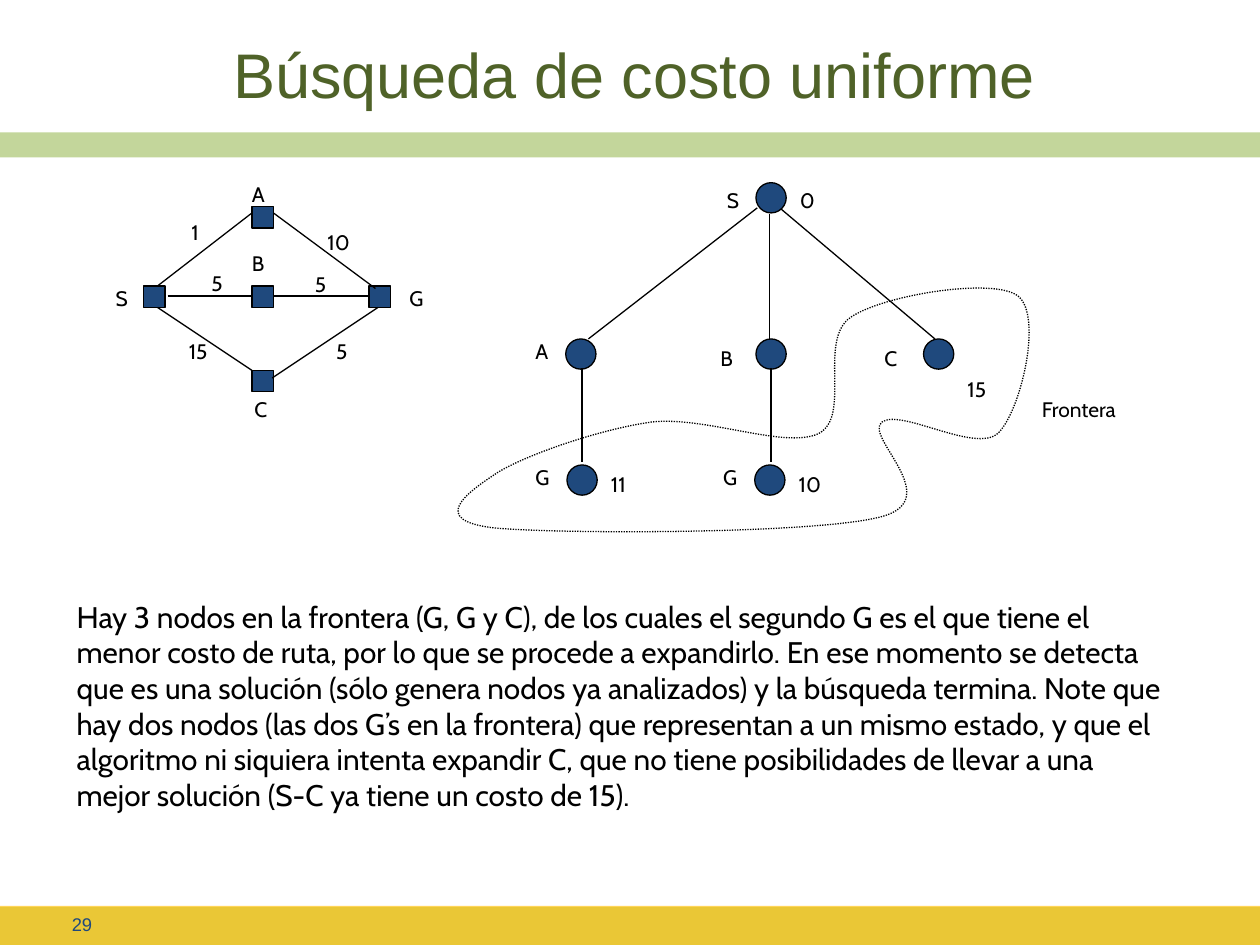
from lxml import etree
from pptx import Presentation
from pptx.dml.color import RGBColor
from pptx.enum.dml import MSO_LINE
from pptx.enum.shapes import MSO_CONNECTOR, MSO_SHAPE
from pptx.enum.text import MSO_ANCHOR, MSO_AUTO_SIZE, PP_ALIGN
from pptx.oxml.ns import qn
from pptx.util import Inches, Pt

RECT, OVAL = MSO_SHAPE.RECTANGLE, MSO_SHAPE.OVAL
STRAIGHT = MSO_CONNECTOR.STRAIGHT
LEFT, CENTER, RIGHT = PP_ALIGN.LEFT, PP_ALIGN.CENTER, PP_ALIGN.RIGHT
TOP, MIDDLE = MSO_ANCHOR.TOP, MSO_ANCHOR.MIDDLE
GROW, FIXED = MSO_AUTO_SIZE.SHAPE_TO_FIT_TEXT, MSO_AUTO_SIZE.NONE
DOTTED = MSO_LINE.ROUND_DOT


def color(value):
    return RGBColor.from_string(value)


class Canvas:
    font = "Cabin"
    ink = "000000"
    node_fill = "1F497D"
    stroke = 0.75

    def __init__(self, slide):
        self.shapes = slide.shapes

    def outline(self, line):
        line.color.rgb = color(self.ink)
        line.width = Pt(self.stroke)

    def band(self, y, h, fill, alpha=None):
        s = self.shapes.add_shape(RECT, 0, Inches(y), Inches(10), Inches(h))
        s.shadow.inherit = False
        s.fill.solid()
        s.fill.fore_color.rgb = color(fill)
        s.line.fill.background()
        if alpha:
            srgb = s._element.spPr.find(".//" + qn("a:srgbClr"))
            etree.SubElement(srgb, qn("a:alpha")).set("val", str(alpha * 1000))

    def node(self, kind, x, y, size):
        s = self.shapes.add_shape(kind, Inches(x), Inches(y), Inches(size), Inches(size))
        s.shadow.inherit = False
        s.fill.solid()
        s.fill.fore_color.rgb = color(self.node_fill)
        self.outline(s.line)

    def edge(self, x1, y1, x2, y2):
        s = self.shapes.add_connector(STRAIGHT, Inches(x1), Inches(y1), Inches(x2), Inches(y2))
        self.outline(s.line)
        etree.SubElement(s._element.spPr, qn("a:effectLst"))

    def text(self, words, x, y, w, h, size, font=None, ink=None, align=LEFT,
             anchor=TOP, wrap=True, fit=GROW):
        s = self.shapes.add_textbox(Inches(x), Inches(y), Inches(w), Inches(h))
        tf = s.text_frame
        tf.word_wrap = wrap
        tf.auto_size = fit
        tf.vertical_anchor = anchor
        p = tf.paragraphs[0]
        p.text = words
        p.alignment = align
        p.font.size = Pt(size)
        p.font.name = font or self.font
        p.font.color.rgb = color(ink or self.ink)

    def label(self, words, x, y):
        w = {1: 0.3, 2: 0.38}.get(len(words), 0.82)
        self.text(words, x, y, w, 0.3, 12, wrap=False)

    def loop(self, start, curves):
        builder = self.shapes.build_freeform(Inches(start[0]), Inches(start[1]), scale=1.0)
        points = [(Inches(x), Inches(y)) for curve in curves for x, y in curve]
        builder.add_line_segments(points, close=True)
        s = builder.convert_to_shape()
        segments = list(s._element.spPr.iter(qn("a:lnTo")))
        for i in range(0, len(segments), 3):
            curve = etree.Element(qn("a:cubicBezTo"))
            segments[i].addprevious(curve)
            for segment in segments[i:i + 3]:
                curve.append(segment[0])
                segment.getparent().remove(segment)
        s.shadow.inherit = False
        s.fill.background()
        self.outline(s.line)
        s.line.dash_style = DOTTED


prs = Presentation()
prs.slide_width, prs.slide_height = Inches(10), Inches(7.5)
c = Canvas(prs.slides.add_slide(prs.slide_layouts[6]))

c.band(1.05, 0.2, "C3D69B")
c.band(7.2, 0.3, "C3D69B")
c.band(7.19, 0.31, "FFC000", alpha=65)
c.text("29", 0.34, 7.22, 0.49, 0.23, 10.5, "Arial", "1F497D", RIGHT, MIDDLE, fit=FIXED)
c.text("Búsqueda de costo uniforme", 0.35, 0.23, 9.37, 0.71, 36, "Arial", "4F6228",
       CENTER, MIDDLE)

GRAPH_NODES = [(1.14, 2.27), (2, 2.27), (2.93, 2.27), (2, 1.64), (2, 2.94)]
GRAPH_EDGES = [(1.33, 2.35, 2, 2.35), (2.17, 2.35, 2.92, 2.35), (1.25, 2.44, 2, 2.94),
               (2.17, 1.69, 2.98, 2.29), (1.25, 2.27, 2, 1.69), (2.16, 3, 3, 2.44)]
GRAPH_LABELS = [("S", 0.82, 2.22), ("A", 1.9, 1.39), ("B", 1.9, 1.94), ("C", 1.92, 3.1),
                ("G", 3.15, 2.22), ("1", 1.42, 1.69), ("10", 2.5, 1.77), ("5", 1.58, 2.1),
                ("5", 2.4, 2.11), ("15", 1.4, 2.64), ("5", 2.57, 2.64)]
TREE_NODES = [(6, 1.45), (4.49, 2.69), (6, 2.69), (7.33, 2.69), (4.5, 3.69), (5.99, 3.69)]
TREE_EDGES = [(6.01, 1.65, 4.67, 2.69), (6.11, 1.7, 6.11, 2.7), (6.2, 1.66, 7.42, 2.69),
              (4.62, 2.92, 4.62, 3.67), (6.12, 2.92, 6.12, 3.67)]
TREE_LABELS = [("S", 5.67, 1.44), ("0", 6.25, 1.44), ("A", 4.15, 2.64), ("B", 5.62, 2.69),
               ("C", 6.92, 2.69), ("15", 7.58, 2.94), ("G", 4.15, 3.64), ("11", 4.75, 3.69),
               ("G", 5.64, 3.64), ("10", 6.24, 3.69), ("Frontera", 8.17, 3.1)]

for kind, size, nodes, edges, labels in (
        (RECT, 0.17, GRAPH_NODES, GRAPH_EDGES, GRAPH_LABELS),
        (OVAL, 0.24, TREE_NODES, TREE_EDGES, TREE_LABELS)):
    for x, y in nodes:
        c.node(kind, x, y, size)
    for ends in edges:
        c.edge(*ends)
    for words, x, y in labels:
        c.label(words, x, y)

c.loop((3.92, 3.77), [
    ((3.71, 3.91), (3.4, 4.13), (3.92, 4.19)),
    ((4.43, 4.24), (6.49, 4.24), (7, 4.1)),
    ((7.51, 3.96), (6.85, 3.46), (7, 3.35)),
    ((7.15, 3.24), (7.74, 3.6), (7.92, 3.44)),
    ((8.1, 3.27), (8.28, 2.51), (8.08, 2.35)),
    ((7.89, 2.2), (7.01, 2.34), (6.75, 2.52)),
    ((6.49, 2.7), (6.76, 3.3), (6.5, 3.44)),
    ((6.24, 3.57), (5.6, 3.3), (5.17, 3.35)),
    ((4.74, 3.41), (4.12, 3.63), (3.92, 3.77)),
])

c.text("Hay 3 nodos en la frontera (G, G y C), de los cuales el segundo G es el que tiene "
       "el menor costo de ruta, por lo que se procede a expandirlo. En ese momento se "
       "detecta que es una solución (sólo genera nodos ya analizados) y la búsqueda "
       "termina. Note que hay dos nodos (las dos G’s en la frontera) que representan a un "
       "mismo estado, y que el algoritmo ni siquiera intenta expandir C, que no tiene "
       "posibilidades de llevar a una mejor solución (S-C ya tiene un costo de 15).",
       0.51, 4.7, 8.9, 1.8, 17)

prs.save("out.pptx")
